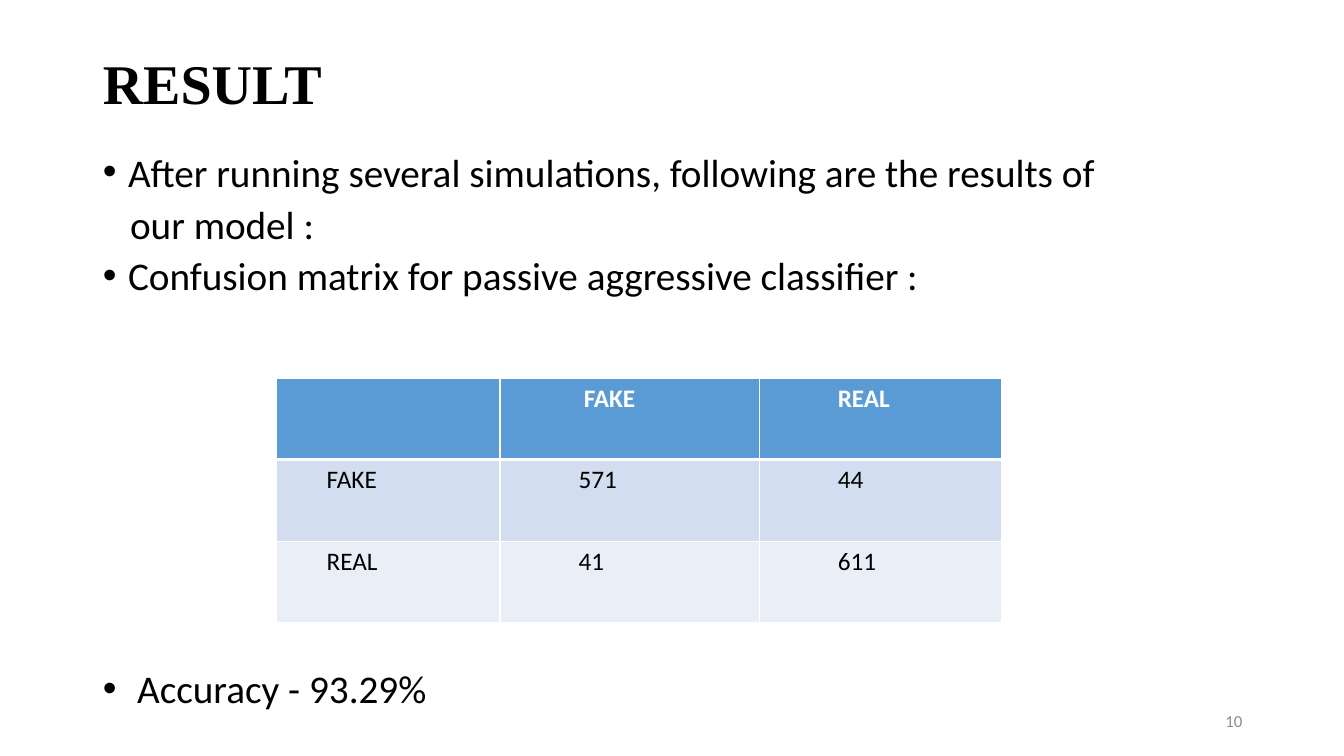
from lxml.etree import SubElement
from pptx import Presentation
from pptx.dml.color import RGBColor
from pptx.enum.text import MSO_ANCHOR, MSO_AUTO_SIZE, PP_ALIGN
from pptx.oxml.ns import qn
from pptx.util import Inches, Pt

BLACK = RGBColor(0x00, 0x00, 0x00)
WHITE = RGBColor(0xFF, 0xFF, 0xFF)
GRAY = RGBColor(0x8C, 0x8C, 0x8C)
BLUE = RGBColor(0x5B, 0x9B, 0xD5)
LIGHT_BLUE = RGBColor(0xD2, 0xDE, 0xEF)
PALE_BLUE = RGBColor(0xEA, 0xEF, 0xF7)

TITLE = "RESULT"
PAGE_NUMBER = "10"
# text, left margin, first-line indent, space before
BODY = [
    ("After running several simulations, following are the results of", 0.25, -0.25, 10),
    ("our model :", 0.27, 0, 10),
    ("Confusion matrix for passive aggressive classifier :", 0.25, -0.25, 10),
    ("Accuracy - 93.29%", 0.34, -0.34, 268),
]
MATRIX = [
    ["", "FAKE", "REAL"],
    ["FAKE", "571", "44"],
    ["REAL", "41", "611"],
]
ROW_FILLS = [BLUE, LIGHT_BLUE, PALE_BLUE]
COLUMN_WIDTHS = [2.22, 2.57, 2.4]
CELL_MARGINS = [0.5, 0.78, 0.78]
HEADER_MARGINS = [0.5, 0.83, 0.78]
ROW_HEIGHT = 0.81


def place(shape, left, top, width, height):
    shape.left, shape.top = Inches(left), Inches(top)
    shape.width, shape.height = Inches(width), Inches(height)


def style(paragraph, name, size, color, bold=False):
    font = paragraph.font
    font.name, font.size, font.bold = name, Pt(size), bold
    font.color.rgb = color


def set_bullet(paragraph, left, indent):
    properties = paragraph._p.get_or_add_pPr()
    properties.set("marL", str(Inches(left)))
    properties.set("indent", str(Inches(indent)))
    if indent:
        SubElement(properties, qn("a:buFont")).set("typeface", "Arial")
        SubElement(properties, qn("a:buChar")).set("char", "•")
    else:
        SubElement(properties, qn("a:buNone"))


def set_borders(cell, widths):
    properties = cell._tc.get_or_add_tcPr()
    for position, (side, width) in enumerate(widths.items()):
        line = SubElement(properties, qn(f"a:{side}"))
        line.set("w", str(Pt(width)))
        fill = SubElement(line, qn("a:solidFill"))
        SubElement(fill, qn("a:srgbClr")).set("val", str(WHITE))
        properties.insert(position, line)


def add_body(shape):
    place(shape, 0.92, 1.51, 11.5, 5.84)
    frame = shape.text_frame
    frame.auto_size = MSO_AUTO_SIZE.NONE
    for index, (text, left, indent, space) in enumerate(BODY):
        paragraph = frame.paragraphs[0] if index == 0 else frame.add_paragraph()
        paragraph.text = text
        paragraph.line_spacing = 0.8
        paragraph.space_before = Pt(space)
        style(paragraph, "Calibri", 28, BLACK)
        set_bullet(paragraph, left, indent)


def add_matrix(slide):
    table = slide.shapes.add_table(
        len(MATRIX), len(COLUMN_WIDTHS), Inches(2.74), Inches(3.75),
        Inches(sum(COLUMN_WIDTHS)), Inches(ROW_HEIGHT * len(MATRIX))).table
    for column, width in zip(table.columns, COLUMN_WIDTHS):
        column.width = Inches(width)
    for row_index, values in enumerate(MATRIX):
        header = row_index == 0
        margins = HEADER_MARGINS if header else CELL_MARGINS
        table.rows[row_index].height = Inches(ROW_HEIGHT)
        for column_index, value in enumerate(values):
            cell = table.cell(row_index, column_index)
            cell.text = value
            cell.margin_left = Inches(margins[column_index])
            cell.fill.solid()
            cell.fill.fore_color.rgb = ROW_FILLS[row_index]
            style(cell.text_frame.paragraphs[0], "Calibri", 18,
                  WHITE if header else BLACK, header)
            set_borders(cell, {"lnL": 1, "lnR": 1,
                               "lnT": 3 if row_index == 1 else 1,
                               "lnB": 3 if header else 1})


def main():
    presentation = Presentation()
    presentation.slide_width, presentation.slide_height = Inches(13.33), Inches(7.5)
    slide = presentation.slides.add_slide(presentation.slide_layouts[1])

    title = slide.shapes.title
    place(title, 0.92, 0.13, 11.5, 1.45)
    title.text_frame.text = TITLE
    title.text_frame.vertical_anchor = MSO_ANCHOR.MIDDLE
    heading = title.text_frame.paragraphs[0]
    heading.alignment = PP_ALIGN.LEFT
    heading.line_spacing = 0.9
    style(heading, "Times New Roman", 40, BLACK, True)

    add_body(slide.placeholders[1])
    add_matrix(slide)

    number = slide.shapes.add_textbox(Inches(9.42), Inches(6.95), Inches(3), Inches(0.4))
    number.text_frame.word_wrap = True
    number.text_frame.vertical_anchor = MSO_ANCHOR.MIDDLE
    number.text_frame.text = PAGE_NUMBER
    paragraph = number.text_frame.paragraphs[0]
    paragraph.alignment = PP_ALIGN.RIGHT
    style(paragraph, "Calibri", 12, GRAY)

    presentation.save("out.pptx")


if __name__ == "__main__":
    main()
